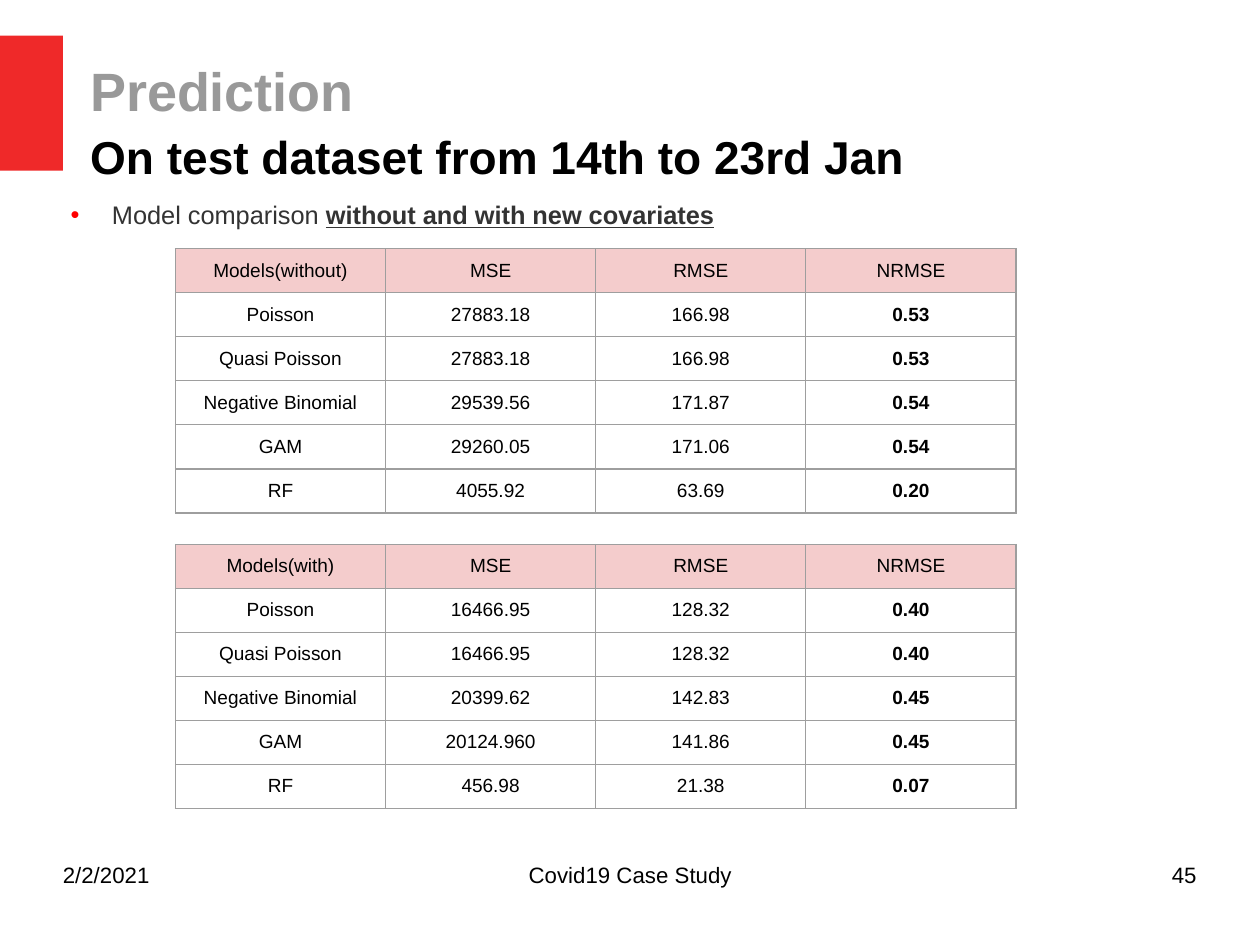
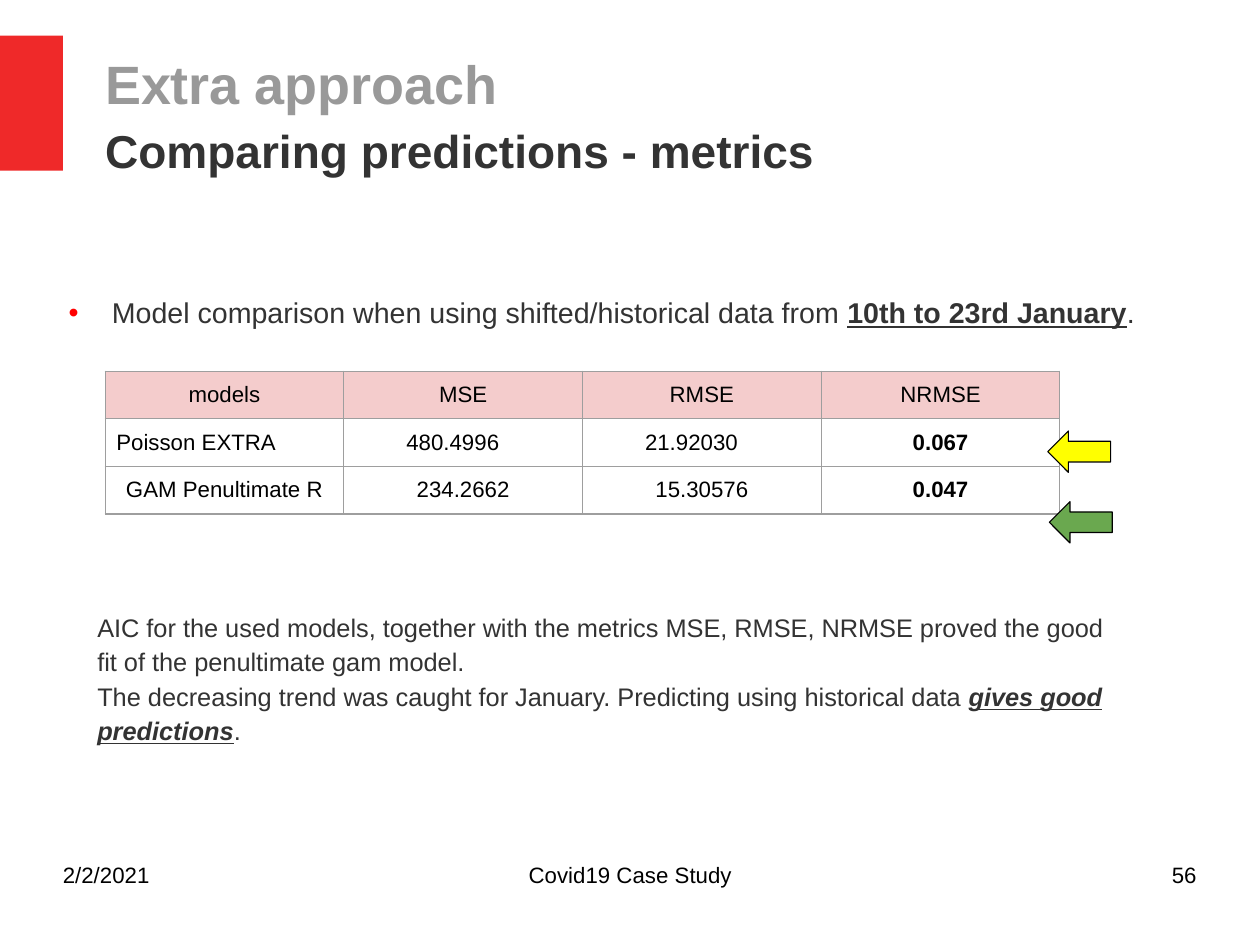
from lxml.etree import SubElement
from pptx import Presentation
from pptx.dml.color import RGBColor
from pptx.enum.shapes import MSO_SHAPE
from pptx.enum.text import MSO_ANCHOR, MSO_AUTO_SIZE, PP_ALIGN
from pptx.oxml.ns import qn
from pptx.util import Pt

RED = RGBColor(0xEF, 0x29, 0x29)
BULLET_RED = RGBColor(0xFF, 0x00, 0x00)
PINK = RGBColor(0xF4, 0xCC, 0xCC)
GREY = RGBColor(0x99, 0x99, 0x99)
BORDER_GREY = RGBColor(0x9E, 0x9E, 0x9E)
DARK = RGBColor(0x33, 0x33, 0x33)
BLACK = RGBColor(0x00, 0x00, 0x00)
YELLOW = RGBColor(0xFF, 0xFF, 0x00)
GREEN = RGBColor(0x6A, 0xA8, 0x4F)
FONT = "Arial"
LINE_SPACING = 1.13
CELL_MARGIN = 7.1
METRICS = ("MSE", "RMSE", "NRMSE")

WITHOUT_ROWS = [
    ("Models(without)", *METRICS),
    ("Poisson", "27883.18", "166.98", "0.53"),
    ("Quasi Poisson", "27883.18", "166.98", "0.53"),
    ("Negative Binomial", "29539.56", "171.87", "0.54"),
    ("GAM", "29260.05", "171.06", "0.54"),
    ("RF", "4055.92", "63.69", "0.20"),
]
WITH_ROWS = [
    ("Models(with)", *METRICS),
    ("Poisson", "16466.95", "128.32", "0.40"),
    ("Quasi Poisson", "16466.95", "128.32", "0.40"),
    ("Negative Binomial", "20399.62", "142.83", "0.45"),
    ("GAM", "20124.960", "141.86", "0.45"),
    ("RF", "456.98", "21.38", "0.07"),
]
EXTRA_ROWS = [
    ("models", *METRICS),
    ("Poisson EXTRA", "480.4996", "21.92030", "0.067"),
    ("GAM Penultimate R", "234.2662", "15.30576", "0.047"),
]


def place(shape, left, top, width, height):
    """Move and size a shape, in points."""
    shape.left, shape.top = Pt(left), Pt(top)
    shape.width, shape.height = Pt(width), Pt(height)


def prepare_frame(text_frame, anchor=MSO_ANCHOR.TOP):
    """Give a text frame no margins, wrapping and a fixed size."""
    text_frame.margin_left = text_frame.margin_right = 0
    text_frame.margin_top = text_frame.margin_bottom = 0
    text_frame.word_wrap = True
    text_frame.auto_size = MSO_AUTO_SIZE.NONE
    text_frame.vertical_anchor = anchor


def format_paragraph(paragraph, size, color, bold=False,
                     alignment=PP_ALIGN.LEFT, spacing=LINE_SPACING):
    """Format a paragraph and all its runs."""
    paragraph.alignment = alignment
    paragraph.line_spacing = spacing
    paragraph.space_before = paragraph.space_after = Pt(0)
    for run in paragraph.runs:
        run.font.name = FONT
        run.font.size = Pt(size)
        run.font.bold = bold
        run.font.color.rgb = color


def add_emphasis(paragraph, text, size, italic=False, ending=""):
    """Append a bold underlined run and an optional plain ending."""
    strong = paragraph.add_run()
    strong.text = text
    if ending:
        paragraph.add_run().text = ending
    format_paragraph(paragraph, size, DARK)
    strong.font.bold = strong.font.underline = True
    strong.font.italic = italic


def add_bullet(paragraph, margin, hanging):
    """Give a paragraph a red bullet with a hanging indent."""
    properties = paragraph._p.get_or_add_pPr()
    properties.set("marL", str(Pt(margin)))
    properties.set("indent", str(-Pt(hanging)))
    color = SubElement(properties, qn("a:buClr"))
    SubElement(color, qn("a:srgbClr")).set("val", str(BULLET_RED))
    SubElement(properties, qn("a:buFont")).set("typeface", FONT)
    SubElement(properties, qn("a:buChar")).set("char", "•")


def set_title(slide, heading, subheading, subheading_color, box):
    """Fill the title placeholder with a grey heading and a subheading."""
    title = slide.shapes.title
    place(title, *box)
    title.text_frame.text = f"{heading}\n{subheading}"
    prepare_frame(title.text_frame, MSO_ANCHOR.MIDDLE)
    styles = ((34, GREY), (29, subheading_color))
    for paragraph, (size, color) in zip(title.text_frame.paragraphs, styles):
        format_paragraph(paragraph, size, color, bold=True, spacing=1.12)


def set_body(slide, top, text, emphasis, size, hanging, ending=""):
    """Fill the body placeholder with one bulleted line."""
    body = slide.placeholders[1]
    place(body, 34.5, top, 725, 28)
    prepare_frame(body.text_frame)
    paragraph = body.text_frame.paragraphs[0]
    paragraph.text = text
    add_emphasis(paragraph, emphasis, size, ending=ending)
    add_bullet(paragraph, 36, hanging)


def add_text(slide, box, text, size, color, alignment=PP_ALIGN.LEFT):
    """Add a text box and return its text frame."""
    text_box = slide.shapes.add_textbox(*map(Pt, box))
    text_frame = text_box.text_frame
    text_frame.text = text
    prepare_frame(text_frame)
    for paragraph in text_frame.paragraphs:
        format_paragraph(paragraph, size, color, alignment=alignment)
    return text_frame


def add_footer(slide, number):
    """Add the date, the footer text and the slide number."""
    parts = (
        (39.6, 185, "2/2/2021", PP_ALIGN.LEFT),
        (271.5, 251, "Covid19 Case Study", PP_ALIGN.CENTER),
        (568.8, 185, str(number), PP_ALIGN.RIGHT),
    )
    for left, width, text, alignment in parts:
        add_text(slide, (left, 540.2, width, 41), text, 14, BLACK, alignment)


def set_borders(cell):
    """Draw a thin grey line on all four sides of a cell."""
    properties = cell._tc.get_or_add_tcPr()
    for side in ("a:lnL", "a:lnR", "a:lnT", "a:lnB"):
        line = SubElement(properties, qn(side), w=str(Pt(0.75)))
        fill = SubElement(line, qn("a:solidFill"))
        SubElement(fill, qn("a:srgbClr")).set("val", str(BORDER_GREY))


def format_cell(cell, size, is_header, bold):
    """Format one centred table cell."""
    cell.margin_left = cell.margin_right = Pt(CELL_MARGIN)
    cell.margin_top = cell.margin_bottom = Pt(CELL_MARGIN)
    format_paragraph(cell.text_frame.paragraphs[0], size, BLACK, bold,
                     PP_ALIGN.CENTER, 1.0)
    set_borders(cell)
    if is_header:
        cell.fill.solid()
        cell.fill.fore_color.rgb = PINK
    else:
        cell.fill.background()


def add_metrics_table(slide, left, top, column_width, row_height, rows, size):
    """Add a table with a pink header and a bold last column."""
    columns = len(rows[0])
    frame = slide.shapes.add_table(
        len(rows), columns, Pt(left), Pt(top),
        Pt(column_width * columns), Pt(row_height * len(rows)))
    table = frame.table
    table.first_row = table.horz_banding = False
    for column in table.columns:
        column.width = Pt(column_width)
    for row_index, values in enumerate(rows):
        table.rows[row_index].height = Pt(row_height)
        for column_index, value in enumerate(values):
            cell = table.cell(row_index, column_index)
            cell.text_frame.text = value
            is_header = row_index == 0
            is_last = column_index == columns - 1
            format_cell(cell, size, is_header, is_last and not is_header)
    return table


def align_left(cell, margin):
    """Align a cell to the left behind a given margin."""
    cell.margin_left = Pt(margin)
    cell.text_frame.paragraphs[0].alignment = PP_ALIGN.LEFT


def add_filled_shape(slide, kind, box, color):
    """Add a preset shape with a plain fill and no shadow."""
    shape = slide.shapes.add_shape(kind, *map(Pt, box))
    shape.shadow.inherit = False
    shape.fill.solid()
    shape.fill.fore_color.rgb = color
    shape.line.fill.background()
    return shape


def add_arrow(slide, left, top, color):
    """Add a left arrow with a thin black outline."""
    arrow = add_filled_shape(slide, MSO_SHAPE.LEFT_ARROW,
                             (left, top, 39.6, 26), color)
    arrow.line.color.rgb = BLACK
    arrow.line.width = Pt(0.75)


def add_layout_band(slide):
    """Put the red band on the layout that the slides share."""
    band = add_filled_shape(slide, MSO_SHAPE.RECTANGLE,
                            (0, 22.5, 39.6, 85), RED)
    band.element.nvSpPr.cNvPr.set("id", "20")
    slide.slide_layout.shapes.element.insert(2, band.element)


def build_prediction(slide):
    """Build the slide that compares models without and with covariates."""
    set_title(slide, "Prediction", "On test dataset from 14th to 23rd Jan",
              BLACK, (56.8, 24, 697, 99))
    set_body(slide, 123, "Model comparison ",
             "without and with new covariates", 16, 26)
    for top, rows in ((156.8, WITHOUT_ROWS), (342.9, WITH_ROWS)):
        add_metrics_table(slide, 110.5, top, 132.4, 27.75, rows, 12)
    add_footer(slide, 45)


def build_extra_approach(slide):
    """Build the slide with the metrics of the extra approach."""
    set_title(slide, "Extra approach", "Comparing predictions - metrics",
              DARK, (66.2, 11, 553, 117))
    set_body(slide, 183.1,
             "Model comparison when using shifted/historical data from ",
             "10th to 23rd January", 18, 27.2, ending=".")
    table = add_metrics_table(slide, 66.2, 233.8, 150.4, 30, EXTRA_ROWS, 14)
    for column, margin in enumerate((CELL_MARGIN, 39.4, 39.4)):
        align_left(table.cell(1, column), margin)
    add_arrow(slide, 661, 316, GREEN)
    add_arrow(slide, 660, 271.5, YELLOW)
    conclusions = add_text(
        slide, (61.3, 383.1, 698, 90),
        "AIC for the used models, together with the metrics MSE, RMSE, "
        "NRMSE proved the good\n"
        "fit of the penultimate gam model.\n"
        "The decreasing trend was caught for January. "
        "Predicting using historical data ", 16, DARK)
    add_emphasis(conclusions.paragraphs[-1], "gives good predictions", 16,
                 italic=True, ending=".")
    add_footer(slide, 56)


def main():
    """Build and save the presentation."""
    presentation = Presentation()
    presentation.slide_width = Pt(793.7)
    presentation.slide_height = Pt(595.28)
    layout = presentation.slide_layouts[1]
    prediction = presentation.slides.add_slide(layout)
    extra_approach = presentation.slides.add_slide(layout)
    add_layout_band(prediction)
    build_prediction(prediction)
    build_extra_approach(extra_approach)
    presentation.save("out.pptx")


if __name__ == "__main__":
    main()
